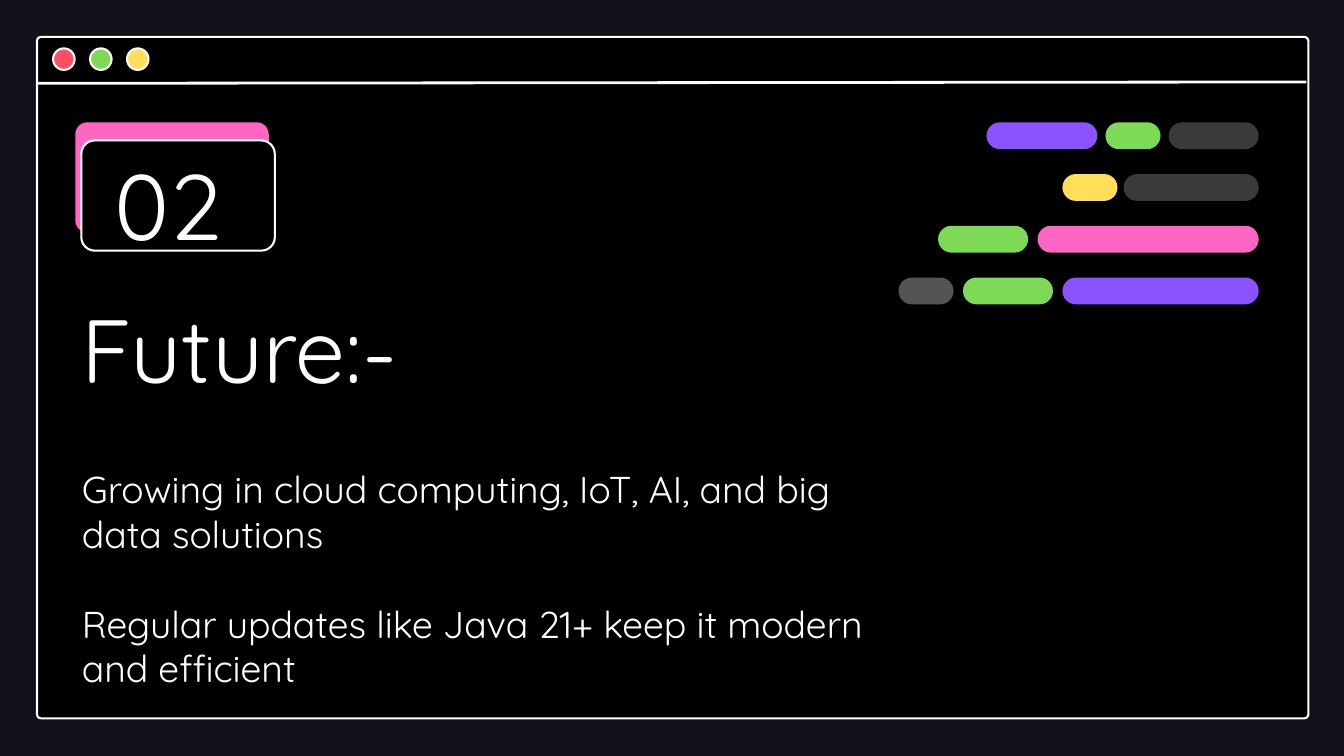
from dataclasses import dataclass

from lxml import etree
from pptx import Presentation
from pptx.dml.color import RGBColor
from pptx.enum.shapes import MSO_CONNECTOR as Connector, MSO_SHAPE as Shape
from pptx.enum.text import MSO_ANCHOR as Anchor, MSO_AUTO_SIZE as AutoSize, PP_ALIGN as Align
from pptx.oxml.ns import qn
from pptx.util import Inches, Pt


@dataclass(frozen=True)
class Theme:
    font: str = "Quicksand"
    backdrop: str = "11121B"
    black: str = "000000"
    white: str = "FFFFFF"
    red: str = "FF4F63"
    green: str = "7ED957"
    yellow: str = "FFDE59"
    pink: str = "FF66C4"
    purple: str = "8C52FF"
    dark_grey: str = "3B3A3A"
    grey: str = "545454"
    number_size: float = 99.2
    title_size: float = 96
    body_size: float = 40
    outline: float = 2.25
    divider: float = 3


class SlideBuilder:
    def __init__(self, slide, theme):
        self.slide = slide
        self.theme = theme
        fill = slide.background.fill
        fill.solid()
        fill.fore_color.rgb = RGBColor.from_string(theme.backdrop)

    def shape(self, kind, left, top, width, height, fill=None, line=None, radius=None):
        shape = self.slide.shapes.add_shape(
            kind, Inches(left), Inches(top), Inches(width), Inches(height))
        shape.shadow.inherit = False
        if radius is not None:
            shape.adjustments[0] = radius / min(width, height)
        if fill:
            shape.fill.solid()
            shape.fill.fore_color.rgb = RGBColor.from_string(fill)
        else:
            shape.fill.background()
        if line:
            shape.line.color.rgb = RGBColor.from_string(line)
            shape.line.width = Pt(self.theme.outline)
        else:
            shape.line.fill.background()

    def panel(self, left, top, width, height, radius, fill=None, line=None):
        self.shape(Shape.ROUNDED_RECTANGLE, left, top, width, height, fill, line, radius)

    def dot(self, left, top, size, fill):
        self.shape(Shape.OVAL, left, top, size, size, fill, self.theme.white)

    def line(self, x1, y1, x2, y2):
        line = self.slide.shapes.add_connector(
            Connector.STRAIGHT, Inches(x1), Inches(y1), Inches(x2), Inches(y2))
        line.line.color.rgb = RGBColor.from_string(self.theme.white)
        line.line.width = Pt(self.theme.divider)
        etree.SubElement(line.element.spPr, qn("a:effectLst"))

    def pill_row(self, right, top, height, gap, pills):
        """Lay pills out leftwards from a shared right edge."""
        for width, fill in reversed(pills):
            self.panel(right - width, top, width, height, height / 2, fill)
            right -= width + gap

    def fill_text(self, box, paragraphs, size, line_spacing=None, space_before=0, inset=None):
        frame = box.text_frame
        frame.word_wrap = True
        frame.auto_size = AutoSize.NONE
        frame.vertical_anchor = Anchor.TOP
        if inset is not None:
            frame.margin_left = frame.margin_right = Inches(inset)
            frame.margin_top = frame.margin_bottom = Inches(inset)
        frame.text = "\n".join(paragraphs)
        for index, para in enumerate(frame.paragraphs):
            para.alignment = Align.LEFT
            if line_spacing:
                para.line_spacing = line_spacing
            if index:
                para.space_before = Pt(space_before)
            for span in para.runs:
                span.font.name = self.theme.font
                span.font.size = Pt(size)
                span.font.color.rgb = RGBColor.from_string(self.theme.white)

    def text(self, left, top, width, height, paragraphs, size, **style):
        box = self.slide.shapes.add_textbox(
            Inches(left), Inches(top), Inches(width), Inches(height))
        self.fill_text(box, paragraphs, size, **style)

    def title(self, left, top, width, height, text):
        title = self.slide.shapes.title
        title.left, title.top = Inches(left), Inches(top)
        title.width, title.height = Inches(width), Inches(height)
        self.fill_text(title, [text], self.theme.title_size, line_spacing=1.2, inset=0)
        # Bring the title in front of the window
        title.element.getparent().append(title.element)


def main():
    theme = Theme()
    deck = Presentation()
    deck.slide_width, deck.slide_height = Inches(20), Inches(11.25)
    page = SlideBuilder(deck.slides.add_slide(deck.slide_layouts[5]), theme)

    # Window with its title bar
    page.panel(0.53, 0.55, 18.92, 10.14, 0.06, fill=theme.black)
    page.panel(0.55, 0.55, 18.92, 10.14, 0.06, line=theme.white)
    page.line(0.55, 1.24, 19.44, 1.22)
    for index, color in enumerate((theme.red, theme.green, theme.yellow)):
        page.dot(0.79 + index * 0.55, 0.72, 0.32, color)

    # Section number on its card
    page.panel(1.12, 1.82, 2.88, 1.64, 0.18, fill=theme.pink)
    page.panel(1.21, 2.09, 2.88, 1.64, 0.2, fill=theme.black, line=theme.white)
    page.text(1.71, 1.87, 1.9, 2, ["02"], theme.number_size, line_spacing=1.2, inset=0)

    # Code-like pills, one row per gap and list of widths
    short, medium = 0.82, 1.34
    rows = [
        (0.12, [(1.65, theme.purple), (short, theme.green), (medium, theme.dark_grey)]),
        (0.09, [(short, theme.yellow), (2.01, theme.dark_grey)]),
        (0.14, [(medium, theme.green), (3.29, theme.pink)]),
        (0.14, [(short, theme.grey), (medium, theme.green), (2.92, theme.purple)]),
    ]
    for index, (gap, pills) in enumerate(rows):
        page.pill_row(18.73, 1.82 + index * 0.77, 0.4, gap, pills)

    # Body and title
    page.text(1.12, 6.89, 12.04, 3.47, [
        "Growing in cloud computing, IoT, AI, and big data solutions",
        "Regular updates like Java 21+ keep it modern and efficient",
    ], theme.body_size, space_before=48)
    page.title(1.21, 4.05, 11.29, 1.94, "Future:-")

    deck.save("out.pptx")


if __name__ == "__main__":
    main()
